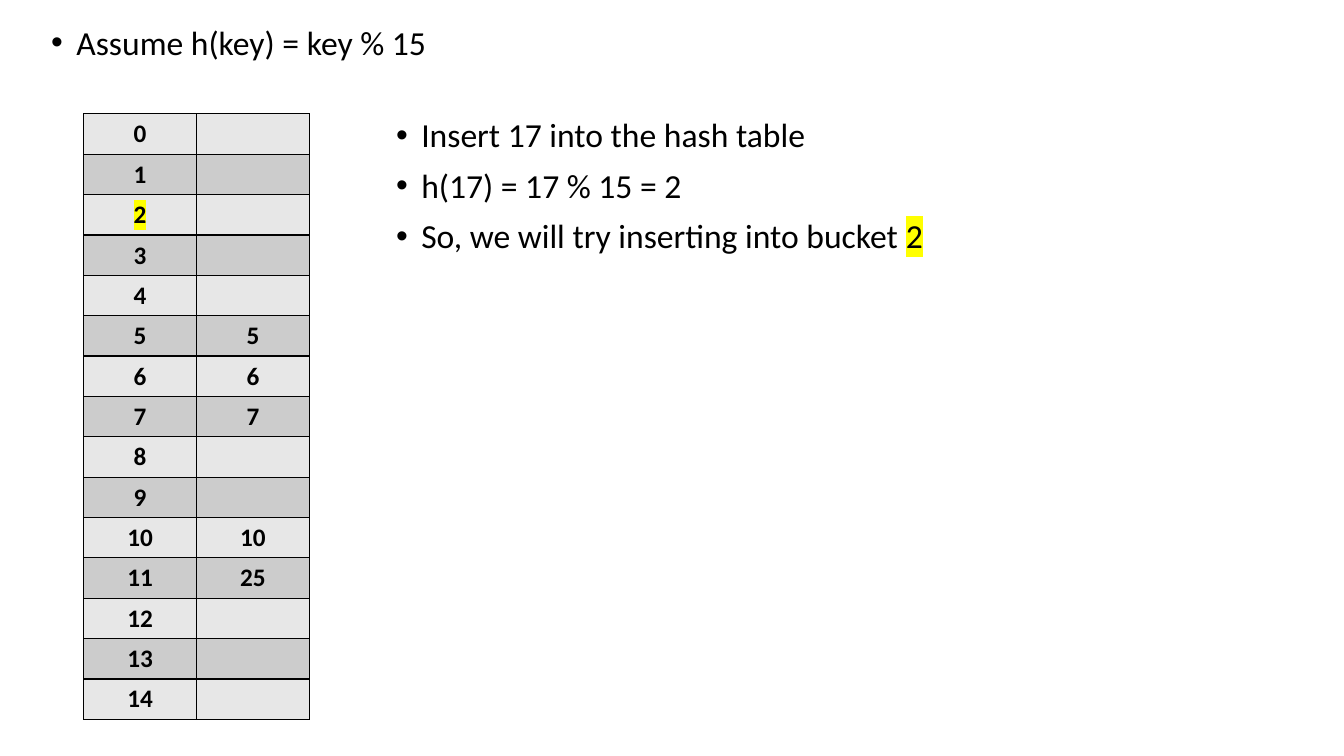
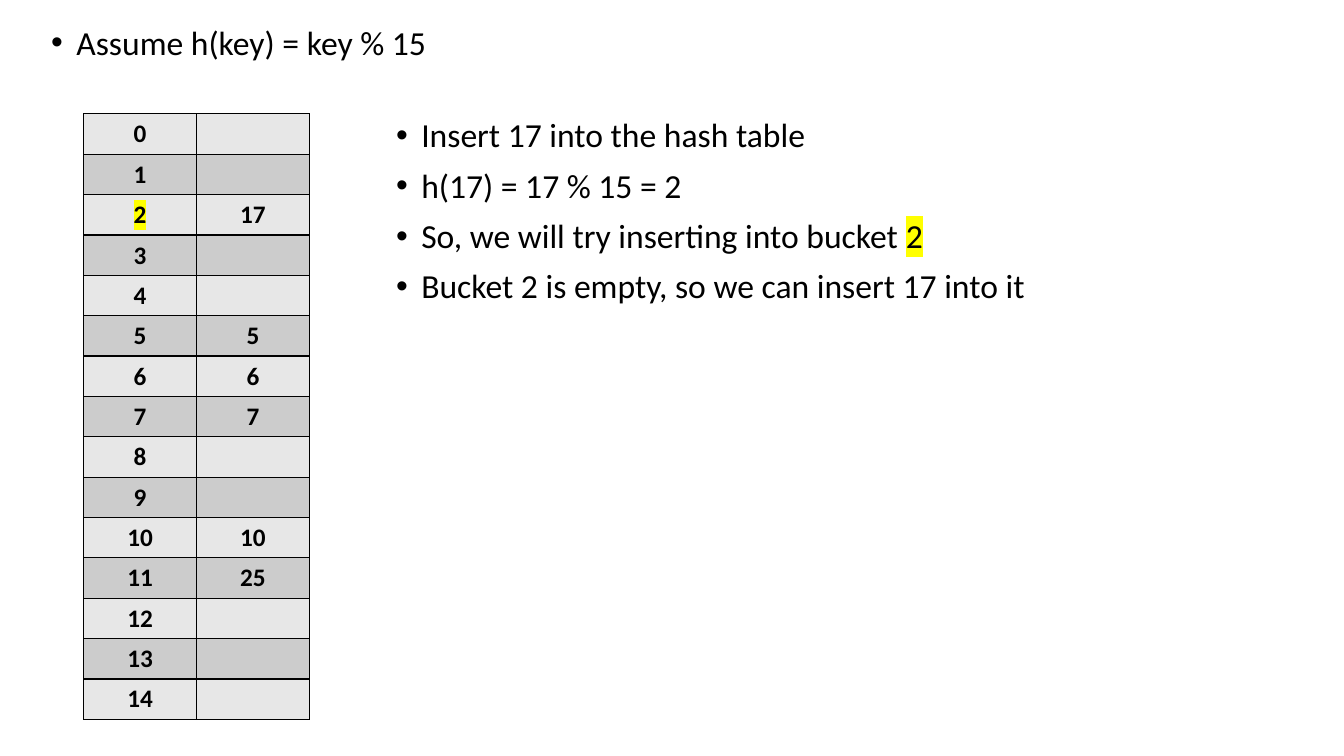
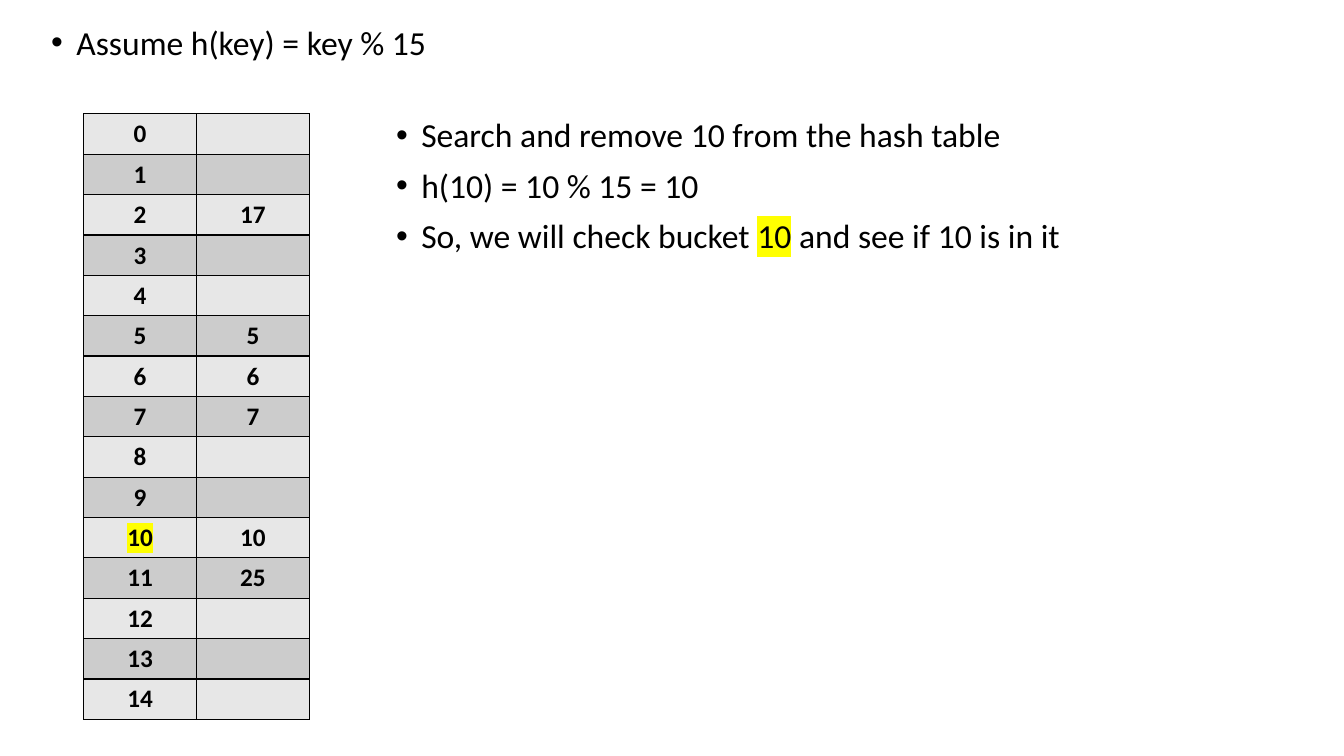
from collections import namedtuple
from dataclasses import dataclass

from lxml.etree import SubElement
from pptx import Presentation
from pptx.dml.color import RGBColor
from pptx.enum.text import MSO_ANCHOR, PP_ALIGN
from pptx.oxml import parse_xml
from pptx.oxml.ns import nsdecls, qn
from pptx.util import Inches, Pt

Box = namedtuple("Box", "left top width height")


@dataclass(frozen=True)
class Theme:
    font: str = "Calibri"
    bullet_font: str = "Arial"
    ink: str = "000000"
    mark: str = "FFFF00"
    bands: tuple = ("E7E7E7", "CCCCCC")
    body_size: int = 24
    cell_size: int = 18
    border: int = 1
    indent: float = 0.25
    line_spacing: float = 0.9
    space_before: int = 10


THEME = Theme()

SLIDE_WIDTH, SLIDE_HEIGHT = 13.33, 7.5
RULE_BOX = Box(0.41, 0.21, 11.5, 0.76)
TABLE_BOX = Box(0.83, 1.13, 2.24, 6)
STEPS_BOX = Box(3.83, 1.13, 8.31, 5.32)

BUCKET_COUNT = 15
HASH_RULE = [("Assume h(key) = key % 15",)]
START = {5: 5, 6: 6, 7: 7, 10: 10, 11: 25}
AFTER_INSERT = {**START, 2: 17}

# In each step, every second piece of text is highlighted.
INSERT_STEPS = [
    ("Insert 17 into the hash table",),
    ("h(17) = 17 % 15 = 2",),
    ("So, we will try inserting into bucket ", "2"),
]
INSERT_DONE = ("Bucket 2 is empty, so we can insert 17 into it",)
REMOVE_STEPS = [
    ("Search and remove 10 from the hash table",),
    ("h(10) = 10 % 15 = 10",),
    ("So, we will check bucket ", "10", " and see if 10 is in it"),
]

SLIDES = [
    (START, 2, INSERT_STEPS),
    (AFTER_INSERT, 2, INSERT_STEPS + [INSERT_DONE]),
    (AFTER_INSERT, 10, REMOVE_STEPS),
]


def inches(box):
    return [Inches(length) for length in box]


def add_run(p, text, size, bold=False, marked=False):
    r = p.add_run()
    r.text = text
    r.font.size = Pt(size)
    r.font.bold = bold
    r.font.color.rgb = RGBColor.from_string(THEME.ink)
    r.font.name = THEME.font
    if marked:
        highlight = parse_xml(
            f'<a:highlight {nsdecls("a")}><a:srgbClr val="{THEME.mark}"/></a:highlight>'
        )
        r.font.fill  # the highlight must follow the fill in the run properties
        r._r.rPr.find(qn("a:solidFill")).addnext(highlight)


def set_bullet(p):
    p.line_spacing = THEME.line_spacing
    p.space_before = Pt(THEME.space_before)
    pPr = p._p.get_or_add_pPr()
    indent = Inches(THEME.indent)
    pPr.set("marL", str(indent))
    pPr.set("indent", str(-indent))
    SubElement(pPr, qn("a:buFont"), typeface=THEME.bullet_font)
    SubElement(pPr, qn("a:buChar"), char="•")


def add_bullets(s, box, items):
    tf = s.shapes.add_textbox(*inches(box)).text_frame
    tf.word_wrap = True
    for i, pieces in enumerate(items):
        p = tf.add_paragraph() if i else tf.paragraphs[0]
        set_bullet(p)
        for j, text in enumerate(pieces):
            add_run(p, text, THEME.body_size, marked=j % 2 == 1)


def set_borders(cell):
    tcPr = cell._tc.get_or_add_tcPr()
    for side in ("lnL", "lnR", "lnT", "lnB"):
        line = SubElement(tcPr, qn(f"a:{side}"), w=str(Pt(THEME.border)))
        fill = SubElement(line, qn("a:solidFill"))
        SubElement(fill, qn("a:srgbClr"), val=THEME.ink)


def fill_cell(cell, text, band, marked):
    set_borders(cell)
    cell.fill.solid()
    cell.fill.fore_color.rgb = RGBColor.from_string(band)
    cell.vertical_anchor = MSO_ANCHOR.MIDDLE
    p = cell.text_frame.paragraphs[0]
    p.alignment = PP_ALIGN.CENTER
    if text:
        add_run(p, text, THEME.cell_size, bold=True, marked=marked)


def add_hash_table(s, box, keys, marked_bucket):
    """Draw one row per bucket: its number, then the key it holds, if any."""
    table = s.shapes.add_table(BUCKET_COUNT, 2, *inches(box)).table
    table.first_row = table.horz_banding = False
    for column in table.columns:
        column.width = Inches(box.width / 2)
    for bucket, row in enumerate(table.rows):
        row.height = Inches(box.height / BUCKET_COUNT)
        band = THEME.bands[bucket % 2]
        number, key = row.cells
        fill_cell(number, str(bucket), band, bucket == marked_bucket)
        fill_cell(key, str(keys.get(bucket, "")), band, False)


def add_hash_slide(prs, keys, marked_bucket, steps):
    s = prs.slides.add_slide(prs.slide_layouts[6])
    add_bullets(s, RULE_BOX, HASH_RULE)
    add_hash_table(s, TABLE_BOX, keys, marked_bucket)
    add_bullets(s, STEPS_BOX, steps)


def main():
    prs = Presentation()
    prs.slide_width = Inches(SLIDE_WIDTH)
    prs.slide_height = Inches(SLIDE_HEIGHT)
    for keys, marked_bucket, steps in SLIDES:
        add_hash_slide(prs, keys, marked_bucket, steps)
    prs.save("out.pptx")


if __name__ == "__main__":
    main()
